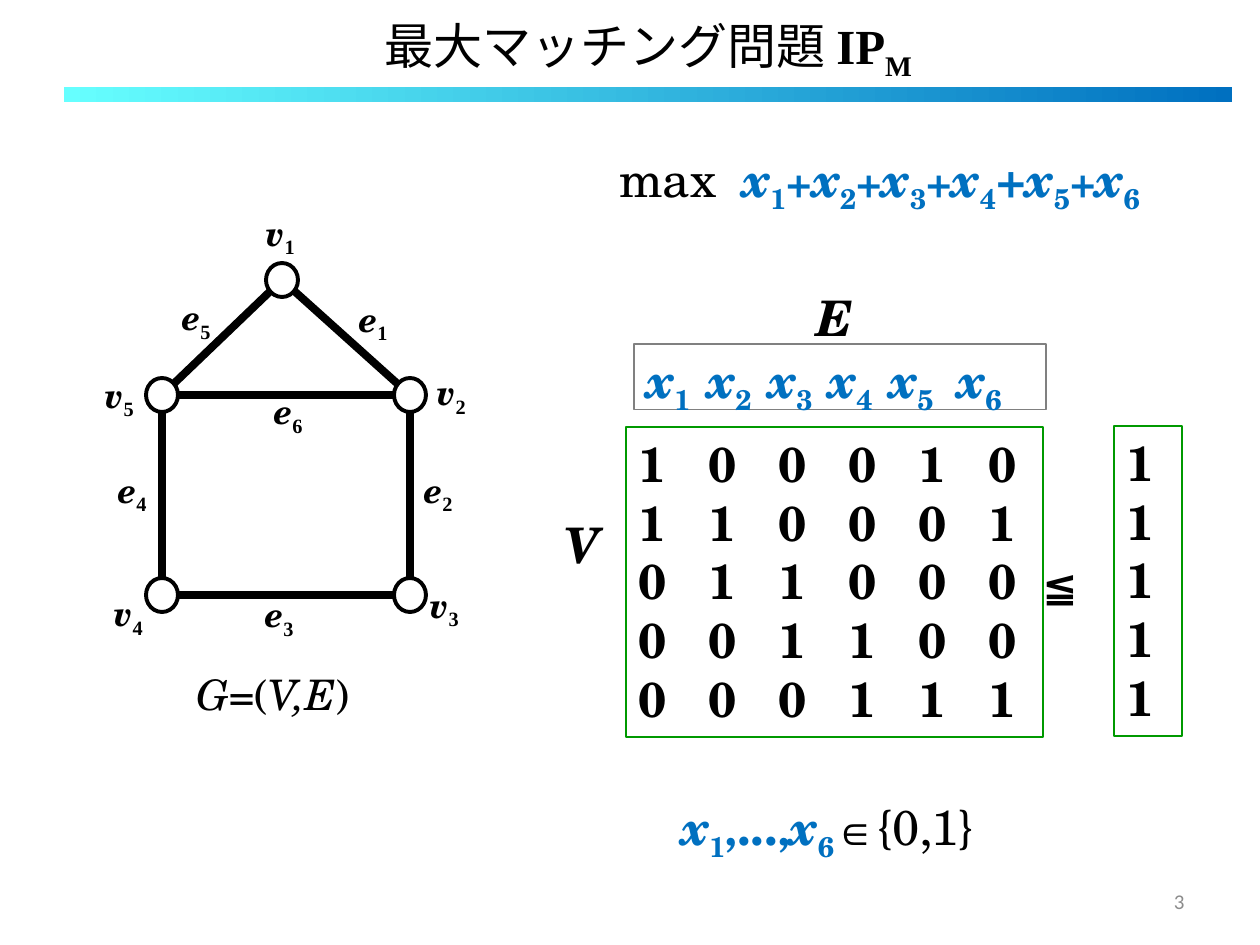
from math import hypot

from lxml import etree
from pptx import Presentation
from pptx.dml.color import RGBColor
from pptx.enum.shapes import MSO_CONNECTOR, MSO_SHAPE
from pptx.enum.text import MSO_ANCHOR, MSO_AUTO_SIZE, PP_ALIGN
from pptx.oxml.ns import qn
from pptx.util import Pt

RECTANGLE, OVAL = MSO_SHAPE.RECTANGLE, MSO_SHAPE.OVAL
STRAIGHT = MSO_CONNECTOR.STRAIGHT
LEFT, CENTER, RIGHT = PP_ALIGN.LEFT, PP_ALIGN.CENTER, PP_ALIGN.RIGHT
TOP, MIDDLE = MSO_ANCHOR.TOP, MSO_ANCHOR.MIDDLE
GROW = MSO_AUTO_SIZE.SHAPE_TO_FIT_TEXT
PIXEL = 914400 // 126
SERIF, TIMES, SANS = "TeX Gyre Schola", "Times New Roman", "Calibri"
BLACK, BLUE, GREEN, GRAY = "000000", "0070C0", "009900", "808080"

NODE_WIDTH, NODE_HEIGHT = 32, 34
NODES = {"v1": (282, 280), "v2": (410, 395), "v3": (410, 595),
         "v4": (162, 595), "v5": (162, 395)}
EDGES = [("v1", "v2"), ("v2", "v3"), ("v3", "v4"),
         ("v4", "v5"), ("v5", "v1"), ("v5", "v2")]
LABELS = [
    ("v1", 244, 205, 83), ("v2", 415, 364, 65), ("v3", 408, 577, 65),
    ("v4", 92, 585, 65), ("v5", 83, 367, 65),
    ("e1", 338, 291, 118), ("e2", 403, 462, 64), ("e3", 244, 586, 64),
    ("e4", 97, 462, 64), ("e5", 161, 289, 64), ("e6", 253, 383, 64),
]
INCIDENCE = ["100010", "110001", "011000", "001100", "000111"]
MATRIX_STEP = 70
HEADER_STOPS = [61, 122, 182, 243, 311]

BOLD = {"bold": True}
PLUS = ("+", {"size": 24, "bold": True, "color": BLUE})
BIG_PLUS = ("+", {"bold": True, "color": BLUE})


def color(value):
    return RGBColor.from_string(value)


def pixels(*lengths):
    return [round(length * PIXEL) for length in lengths]


def variable(index):
    return [("x", {"bold": True, "italic": True, "color": BLUE}),
            (index, {"bold": True, "color": BLUE, "sub": True})]


def write(shape, lines, size=28, font=SERIF, ink=BLACK, align=LEFT, anchor=TOP,
          wrap=True, grow=True, spacing=None, stops=()):
    frame = shape.text_frame
    frame.word_wrap = wrap
    frame.vertical_anchor = anchor
    if grow:
        frame.auto_size = GROW
    for number, runs in enumerate(lines):
        paragraph = frame.add_paragraph() if number else frame.paragraphs[0]
        paragraph.alignment = align
        if spacing:
            paragraph.line_spacing = spacing
        if stops:
            properties = paragraph._p.get_or_add_pPr()
            tabs = etree.SubElement(properties, qn("a:tabLst"))
            for stop in stops:
                etree.SubElement(tabs, qn("a:tab"), pos=str(stop * PIXEL), algn="l")
        for text, style in runs:
            run = paragraph.add_run()
            run.text = text
            run.font.name = style.get("font", font)
            run.font.size = Pt(style.get("size", size))
            run.font.bold = style.get("bold", False)
            run.font.italic = style.get("italic", False)
            run.font.color.rgb = color(style.get("color", ink))
            if style.get("sub"):
                run._r.get_or_add_rPr().set("baseline", "-25000")


def add_text(box, lines, **style):
    write(slide.shapes.add_textbox(*pixels(*box)), lines, **style)


def add_shape(kind, box, fill=None, line=None, weight=0.75):
    shape = slide.shapes.add_shape(kind, *pixels(*box))
    shape.shadow.inherit = False
    if fill:
        shape.fill.solid()
        shape.fill.fore_color.rgb = color(fill)
    else:
        shape.fill.background()
    if line:
        shape.line.color.rgb = color(line)
        shape.line.width = Pt(weight)
    else:
        shape.line.fill.background()
    return shape


def add_edge(start, end):
    (x1, y1), (x2, y2) = NODES[start], NODES[end]
    ratio = NODE_WIDTH / 2 / hypot(x2 - x1, y2 - y1)
    dx, dy = (x2 - x1) * ratio, (y2 - y1) * ratio
    edge = slide.shapes.add_connector(
        STRAIGHT, *pixels(x1 + dx, y1 + dy, x2 - dx, y2 - dy))
    edge.line.color.rgb = color(BLACK)
    edge.line.width = Pt(4.5)
    etree.SubElement(edge._element.spPr, qn("a:effectLst"))


presentation = Presentation()
presentation.slide_width, presentation.slide_height = pixels(1260, 945)
slide = presentation.slides.add_slide(presentation.slide_layouts[6])

add_text((146, 5, 1005, 88),
         [[("最大マッチング問題 ", {"font": SANS}), ("IP", BOLD),
           ("M", {"bold": True, "sub": True})]],
         font=TIMES, align=CENTER, anchor=MIDDLE, grow=False)
bar = add_shape(RECTANGLE, (64, 87, 1168, 15))
bar.fill.gradient()
bar.fill.gradient_angle = 0
for stop, (position, shade) in zip(bar.fill.gradient_stops,
                                   [(0, "66FFFF"), (1, BLUE)]):
    stop.position = position
    stop.color.rgb = color(shade)

objective = [("max\t", {})] + variable("1")
for index in "23456":
    objective += [BIG_PLUS if index == "5" else PLUS] + variable(index)
add_text((607, 142, 586, 72), [objective], stops=[123])

for name, left, top in [("E", 804, 281), ("V", 552, 508)]:
    add_text((left, top, 62, 72), [[(name, {"bold": True, "italic": True})]],
             wrap=False)

header = variable("1")
for index in "23456":
    header += [("\t", {})] + variable(index)
write(add_shape(RECTANGLE, (634, 344, 412, 66), line=GRAY), [header],
      spacing=0.9, stops=HEADER_STOPS)

write(add_shape(RECTANGLE, (626, 427, 417, 310), line=GREEN),
      [[("\t".join(row), BOLD)] for row in INCIDENCE],
      stops=[MATRIX_STEP * column for column in range(1, len(INCIDENCE[0]))])
write(add_shape(RECTANGLE, (1114, 426, 68, 310), line=GREEN),
      [[("1", BOLD)] for row in INCIDENCE])
add_text((1030, 553, 68, 64), [[("≦", BOLD)]], size=24, wrap=False)

comma = (",", {"size": 24, "bold": True, "color": BLUE})
dots = ("...", {"bold": True, "color": BLUE})
add_text((669, 790, 460, 72),
         [variable("1") + [comma, dots, comma] + variable("6")
          + [("∈", {"size": 24, "bold": True}), ("{0,1}", {})]])

for start, end in EDGES:
    add_edge(start, end)
for x, y in NODES.values():
    add_shape(OVAL, (x - NODE_WIDTH / 2, y - NODE_HEIGHT / 2, NODE_WIDTH, NODE_HEIGHT),
              fill="FFFFFF", line=BLACK, weight=2.25)
for (letter, index), left, top, width in LABELS:
    add_text((left, top, width, 55),
             [[(" ", {}), (letter, {"font": SERIF, "bold": True, "italic": True}),
               (index, {"bold": True, "sub": True})]],
             size=20, font=TIMES, wrap=width > 65)

add_text((184, 662, 184, 63),
         [[("G=", {"italic": True}), ("(", {}), ("V,E", {"italic": True}), (")", {})]],
         size=24, wrap=False)
add_text((903, 876, 294, 50), [[("3", {})]], size=12, font=SANS, ink="8C8C8C",
         align=RIGHT, anchor=MIDDLE, grow=False)

presentation.save("out.pptx")
